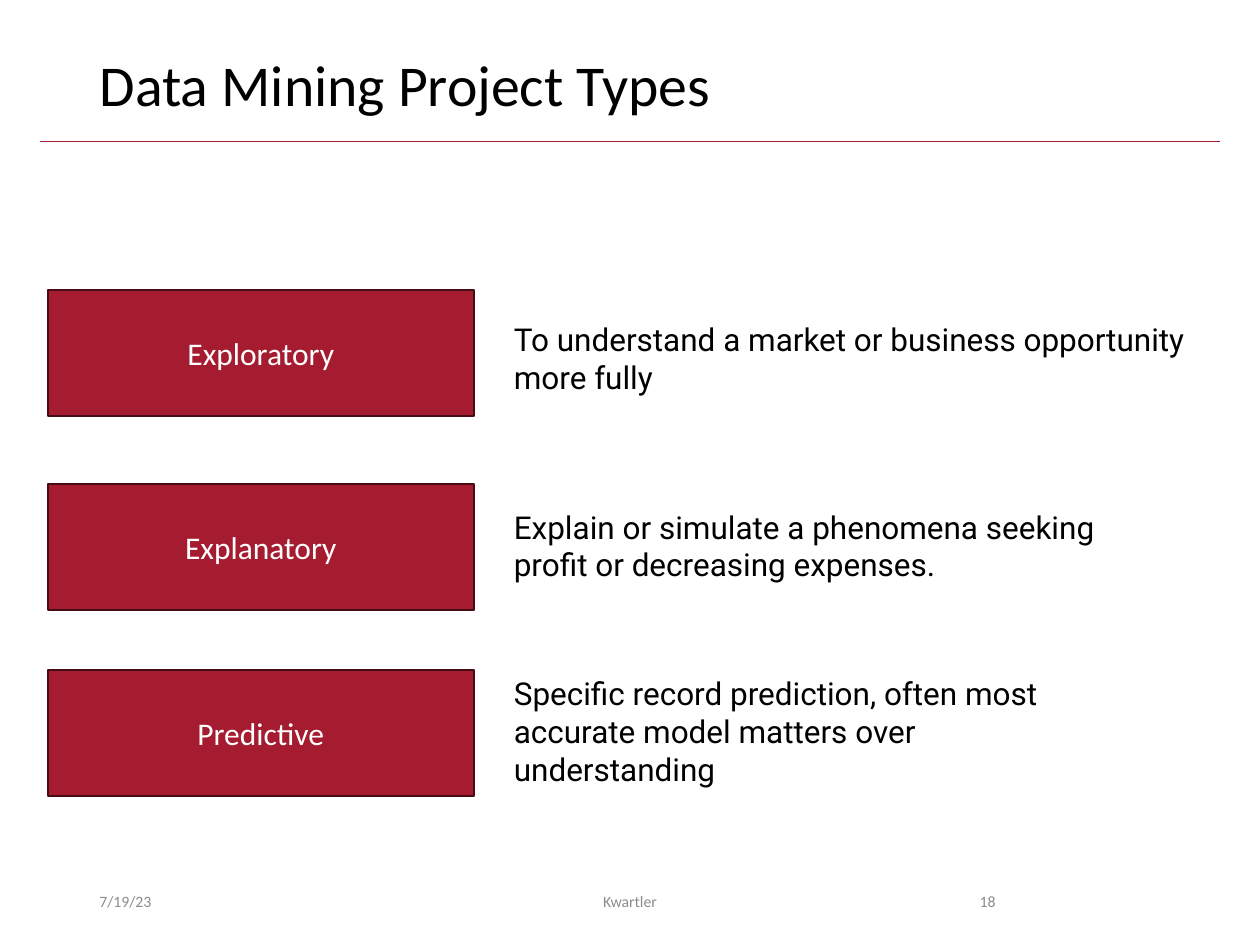
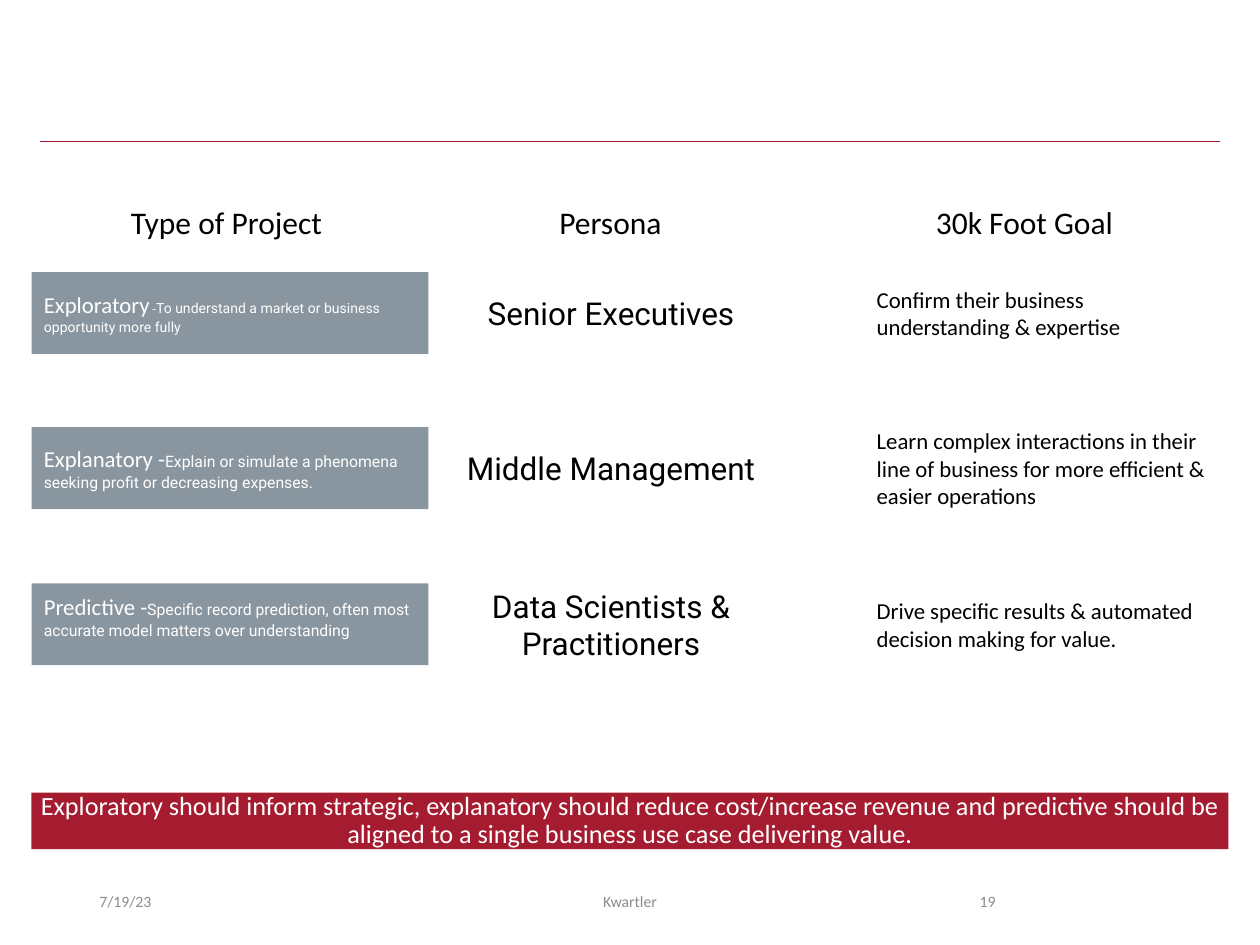
from lxml import etree
from pptx import Presentation
from pptx.dml.color import RGBColor
from pptx.enum.shapes import MSO_CONNECTOR, MSO_SHAPE
from pptx.enum.text import MSO_ANCHOR, MSO_AUTO_SIZE, PP_ALIGN
from pptx.oxml.ns import qn
from pptx.util import Inches, Pt

STRAIGHT, RECTANGLE = MSO_CONNECTOR.STRAIGHT, MSO_SHAPE.RECTANGLE
TOP, MIDDLE = MSO_ANCHOR.TOP, MSO_ANCHOR.MIDDLE
LEFT, CENTER, RIGHT = PP_ALIGN.LEFT, PP_ALIGN.CENTER, PP_ALIGN.RIGHT
GROW, FIXED = MSO_AUTO_SIZE.SHAPE_TO_FIT_TEXT, MSO_AUTO_SIZE.NONE

COLORS = {
    "crimson": "A51C30",
    "crimson_edge": "480C15",
    "slate": "8996A0",
    "footer": "8C8C8C",
    "black": "000000",
    "white": "FFFFFF",
}
HEADING_FONT, BODY_FONT = "Calibri", "Roboto"
TITLE_ONLY, BLANK = 5, 6
PADDING = (0.1, 0.05, 0.1, 0.05)
CELL_PADDING = (0.1, 0.1, 0.1, 0.1)

DATE, AUTHOR = "7/19/23", "Kwartler"

# name, box top, description, description box (top, width, height)
PROJECT_TYPES = [
    ("Exploratory", 2.3,
     "To understand a market or business opportunity more fully",
     (2.49, 5.72, 0.71)),
    ("Explanatory", 3.84,
     "Explain or simulate a phenomena seeking profit or decreasing expenses.",
     (3.98, 5, 0.71)),
    ("Predictive", 5.32,
     "Specific record prediction, often most accurate model matters over "
     "understanding",
     (5.3, 5, 1.01)),
]

# row top, separator, separator size, description size, type padding,
# persona, goal
PERSONA_ROWS = [
    (2.16, " -", 7, 8, CELL_PADDING, "Senior Executives",
     "Confirm their business understanding & expertise"),
    (3.39, " -", 13, 9, CELL_PADDING, "Middle Management",
     "Learn complex interactions in their line of business for more "
     "efficient & easier operations"),
    (4.63, " -", 13, 9, (0.1, 0.1, 0.1, 0.23),
     "Data Scientists & Practitioners",
     "Drive specific results & automated decision making for value."),
]
# heading, left, width
COLUMN_HEADINGS = [
    ("Type of Project", 0.94, 1.74),
    ("Persona", 4.34, 1.02),
    ("30k Foot Goal", 7.33, 1.62),
]
TAKEAWAY = ("Exploratory should inform strategic, explanatory should reduce "
            "cost/increase revenue and predictive should be aligned to a "
            "single business use case delivering value.")


def rgb(name):
    return RGBColor.from_string(COLORS[name])


def write_text(shape, text, size=18, font=HEADING_FONT, color="black",
               align=LEFT, anchor=TOP, padding=PADDING, spacing=None,
               wrap=True, auto_size=FIXED):
    """Fill a shape with a string, or with (text, size, font) runs."""
    frame = shape.text_frame
    frame.word_wrap = wrap
    frame.auto_size = auto_size
    frame.vertical_anchor = anchor
    (frame.margin_left, frame.margin_top,
     frame.margin_right, frame.margin_bottom) = map(Inches, padding)
    paragraph = frame.paragraphs[0]
    paragraph.alignment = align
    if spacing:
        paragraph.line_spacing = spacing
    runs = [(text, size, font)] if isinstance(text, str) else text
    for run_text, run_size, run_font in runs:
        run = paragraph.add_run()
        run.text = run_text
        run.font.size = Pt(run_size)
        run.font.name = run_font
        run.font.color.rgb = rgb(color)


def add_label(slide, box, text, **text_format):
    label = slide.shapes.add_textbox(*map(Inches, box))
    write_text(label, text, **text_format)


def add_block(slide, box, text, fill, edge=None, **text_format):
    block = slide.shapes.add_shape(RECTANGLE, *map(Inches, box))
    block.shadow.inherit = False
    block.fill.solid()
    block.fill.fore_color.rgb = rgb(fill)
    if edge:
        block.line.color.rgb = rgb(edge)
        block.line.width = Pt(1)
    else:
        block.line.fill.background()
    write_text(block, text, color="white", anchor=MIDDLE, **text_format)


def add_header_rule(slide, left, top, width):
    rule = slide.shapes.add_connector(
        STRAIGHT, *map(Inches, (left, top, left + width, top)))
    rule.line.color.rgb = rgb("crimson")
    rule.line.width = Pt(0.5)
    properties = rule._element.find(qn("p:spPr"))
    etree.SubElement(properties, qn("a:effectLst"))


def add_footer(slide, number, top, height):
    parts = [
        (DATE, 0.69, 2.25, LEFT),
        (AUTHOR, 3.31, 3.38, CENTER),
        (str(number), 7.06, 0.94, RIGHT),
    ]
    for text, left, width, align in parts:
        add_label(slide, (left, top, width, height), text, size=9,
                  color="footer", align=align, anchor=MIDDLE)


def add_base_slide(deck, layout, number):
    """Add a slide with the rule and footer that all slides share."""
    slide = deck.slides.add_slide(deck.slide_layouts[layout])
    add_header_rule(slide, 0.32, 1.12, 9.36)
    add_footer(slide, number, 6.95, 0.4)
    return slide


def set_title(slide, text, box):
    title = slide.shapes.title
    title.left, title.top, title.width, title.height = map(Inches, box)
    write_text(title, text, size=33, spacing=0.9)


def add_project_type(slide, left, top, name, description, description_box):
    add_block(slide, (left, top, 3.38, 1), name, "crimson",
              edge="crimson_edge", align=CENTER)
    text_top, width, height = description_box
    add_label(slide, (left + 3.6, text_top, width, height), description,
              font=BODY_FONT, auto_size=GROW)


def add_persona_row(slide, left, top, type_runs, type_padding, persona, goal):
    height = 0.65
    add_block(slide, (left, top, 3.15, height), type_runs, "slate",
              padding=type_padding)
    add_label(slide, (left + 3.18, top, 2.84, height), persona,
              font=BODY_FONT, align=CENTER, anchor=MIDDLE,
              padding=CELL_PADDING)
    add_label(slide, (left + 6.61, top, 2.84, height), goal, size=13,
              anchor=MIDDLE, padding=CELL_PADDING)


def add_column_headings(slide, top, height):
    for heading, left, width in COLUMN_HEADINGS:
        add_label(slide, (left, top, width, height), heading, wrap=False,
                  auto_size=GROW)


def build_project_types(deck, number):
    slide = add_base_slide(deck, TITLE_ONLY, number)
    set_title(slide, "Data Mining Project Types", (0.69, 0.4, 8.62, 0.65))
    for name, top, description, description_box in PROJECT_TYPES:
        add_project_type(slide, 0.38, top, name, description, description_box)


def build_personas(deck, number):
    slide = add_base_slide(deck, BLANK, number)
    for project, row in zip(PROJECT_TYPES, PERSONA_ROWS):
        name, _, description, _ = project
        top, separator, separator_size, size, padding, persona, goal = row
        type_runs = [
            (name, 13, HEADING_FONT),
            (separator, separator_size, HEADING_FONT),
            (description, size, BODY_FONT),
        ]
        add_persona_row(slide, 0.25, top, type_runs, padding, persona, goal)
    add_block(slide, (0.25, 6.29, 9.5, 0.45), TAKEAWAY, "crimson", size=15,
              align=CENTER, spacing=0.9, padding=(0.07, 0.04, 0.07, 0.04))
    add_column_headings(slide, 1.56, 0.4)


def main():
    deck = Presentation()
    deck.slide_width, deck.slide_height = Inches(10), Inches(7.5)
    build_project_types(deck, 18)
    build_personas(deck, 19)
    deck.save("out.pptx")


if __name__ == "__main__":
    main()
